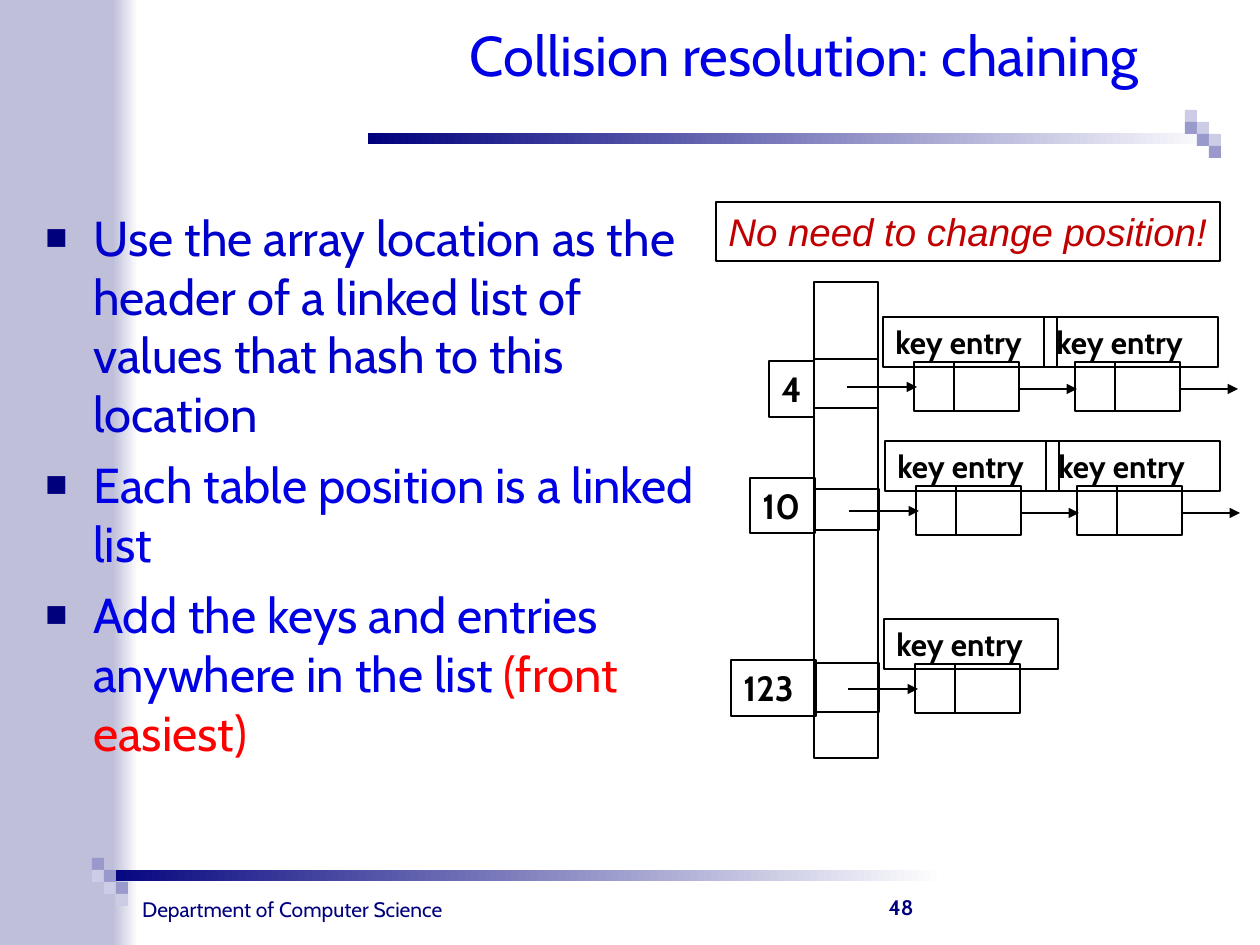
from dataclasses import dataclass

from lxml import etree
from pptx import Presentation
from pptx.dml.color import RGBColor
from pptx.enum.shapes import MSO_CONNECTOR, MSO_SHAPE
from pptx.enum.text import MSO_ANCHOR, MSO_AUTO_SIZE, PP_ALIGN
from pptx.oxml.ns import qn
from pptx.util import Pt

RECT = MSO_SHAPE.RECTANGLE
LINE = MSO_CONNECTOR.STRAIGHT
LEFT, MID, RIGHT = PP_ALIGN.LEFT, PP_ALIGN.CENTER, PP_ALIGN.RIGHT
TOP, LOW = MSO_ANCHOR.TOP, MSO_ANCHOR.BOTTOM
FIXED = MSO_AUTO_SIZE.NONE
SCALE = 914400 / 126


@dataclass(frozen=True)
class Theme:
    font: str = "Cabin"
    plain: str = "Arial"
    white: str = "FFFFFF"
    black: str = "000000"
    navy: str = "00007D"
    side: str = "BFBFDA"
    pale: str = "CCCCE6"
    mid: str = "9999CC"
    blue: str = "0000E5"
    deep: str = "0000CC"
    red: str = "FF0000"
    note: str = "C00000"
    title: int = 32
    body: int = 28
    call: int = 22
    index: int = 20
    label: int = 18
    foot: int = 12


T = Theme()


def px(*vals):
    return [round(v * SCALE) for v in vals]


def rgb(code):
    return RGBColor.from_string(code)


def mark(para, indent):
    props = para._p.get_or_add_pPr()
    gap = px(indent)[0]
    props.set("marL", str(gap))
    props.set("indent", str(-gap))
    color = etree.SubElement(props, qn("a:buClr"))
    etree.SubElement(color, qn("a:srgbClr"), val=T.navy)
    etree.SubElement(props, qn("a:buSzPct"), val="75000")
    etree.SubElement(props, qn("a:buFont"), typeface=T.plain)
    etree.SubElement(props, qn("a:buChar"), char="■")


def write(shape, paras, size, color=T.black, font=T.font, bold=False,
          italic=False, align=LEFT, anchor=TOP, wrap=True, gap=0, indent=0):
    if isinstance(paras, str):
        paras = [[(paras, color)]]
    frame = shape.text_frame
    frame.auto_size = FIXED
    frame.word_wrap = wrap
    frame.vertical_anchor = anchor
    for i, runs in enumerate(paras):
        para = frame.paragraphs[0] if i == 0 else frame.add_paragraph()
        para.alignment = align
        if i and gap:
            para.space_before = Pt(gap)
        if indent:
            mark(para, indent)
        for text, tone in runs:
            run = para.add_run()
            run.text = text
            face = run.font
            face.name, face.size = font, Pt(size)
            face.bold, face.italic = bold, italic
            face.color.rgb = rgb(tone)


def block(slide, box, *tones):
    shape = slide.shapes.add_shape(RECT, *px(*box))
    shape.shadow.inherit = False
    shape.line.fill.background()
    fill = shape.fill
    if len(tones) == 1:
        fill.solid()
        fill.fore_color.rgb = rgb(tones[0])
    else:
        fill.gradient()
        fill.gradient_angle = 0
        for stop, tone in zip(fill.gradient_stops, tones):
            stop.color.rgb = rgb(tone)


def frame(slide, box, text="", **style):
    shape = slide.shapes.add_shape(RECT, *px(*box))
    shape.shadow.inherit = False
    shape.fill.background()
    shape.line.color.rgb = rgb(T.black)
    shape.line.width = Pt(1)
    if text:
        write(shape, text, **style)


def line(slide, ends, arrow=False):
    wire = slide.shapes.add_connector(LINE, *px(*ends))
    wire.line.color.rgb = rgb(T.black)
    wire.line.width = Pt(1)
    if arrow:
        etree.SubElement(wire.line._get_or_add_ln(), qn("a:tailEnd"), type="triangle")
    etree.SubElement(wire._element.spPr, qn("a:effectLst"))


def label(slide, box, text, **style):
    write(slide.shapes.add_textbox(*px(*box)), text, **style)


def stairs(slide, x, y, tones):
    for row in range(4):
        for col in (row - 1, row):
            if 0 <= col < 3:
                tone = tones[row - col]
                block(slide, (x + 12 * col, y + 12 * row, 12, 12), tone)


def decor(slide):
    block(slide, (113, 0, 25, 945), T.side, T.white)
    block(slide, (0, 0, 113, 945), T.side)
    block(slide, (92, 870, 852, 11), T.navy, T.white)
    stairs(slide, 92, 858, (T.mid, T.pale))
    block(slide, (368, 133, 852, 11), T.navy, T.white)
    stairs(slide, 1185, 110, (T.pale, T.mid))


def chain(slide, x, y, count):
    line(slide, (x - 67, y + 25, x + 3, y + 25), arrow=True)
    for i in range(count):
        left = x + 161 * i
        frame(slide, (left, y, 105, 49))
        frame(slide, (left - 31, y - 45, 174, 50), "key entry",
              size=T.label, bold=True)
        line(slide, (left + 40, y, left + 40, y + 49))
        if count > 1:
            line(slide, (left + 104, y + 27, left + 163, y + 27), arrow=True)


def table(slide):
    frame(slide, (814, 282, 64, 476))
    rows = (
        ("4", (769, 361, 45, 56), (814, 359, 64, 49), (914, 362, 2)),
        ("10", (750, 478, 65, 55), (815, 489, 64, 41), (916, 486, 2)),
        ("123", (731, 660, 85, 56), (815, 663, 64, 49), (915, 664, 1)),
    )
    for key, tag, cell, links in rows:
        frame(slide, cell)
        frame(slide, tag, key, size=T.index, bold=True, wrap=False)
        chain(slide, *links)


def main():
    deck = Presentation()
    deck.slide_width, deck.slide_height = px(1260, 945)
    slide = deck.slides.add_slide(deck.slide_layouts[5])
    decor(slide)

    title = slide.shapes.title
    title.left, title.top, title.width, title.height = px(10, 10, 1142, 84)
    write(title, "Collision resolution: chaining", size=T.title, color=T.blue,
          align=RIGHT, anchor=LOW)

    points = [
        [("Use the array location as the header of a linked list of "
          "values that hash to this location", T.deep)],
        [("Each table position is a linked list", T.blue)],
        [("Add the keys and entries anywhere in the list ", T.blue),
         ("(front easiest)", T.red)],
    ]
    label(slide, (33, 201, 688, 654), points, size=T.body, gap=7, indent=48)

    table(slide)
    frame(slide, (716, 202, 504, 59), "No need to change position!",
          size=T.call, color=T.note, font=T.plain, italic=True, wrap=False)

    label(slide, (115, 890, 355, 38), "Department of Computer Science",
          size=T.foot, color=T.navy, align=MID, wrap=False)
    label(slide, (435, 863, 491, 63), "48", size=T.foot, color=T.navy,
          bold=True, align=RIGHT, anchor=LOW)
    deck.save("out.pptx")


if __name__ == "__main__":
    main()
